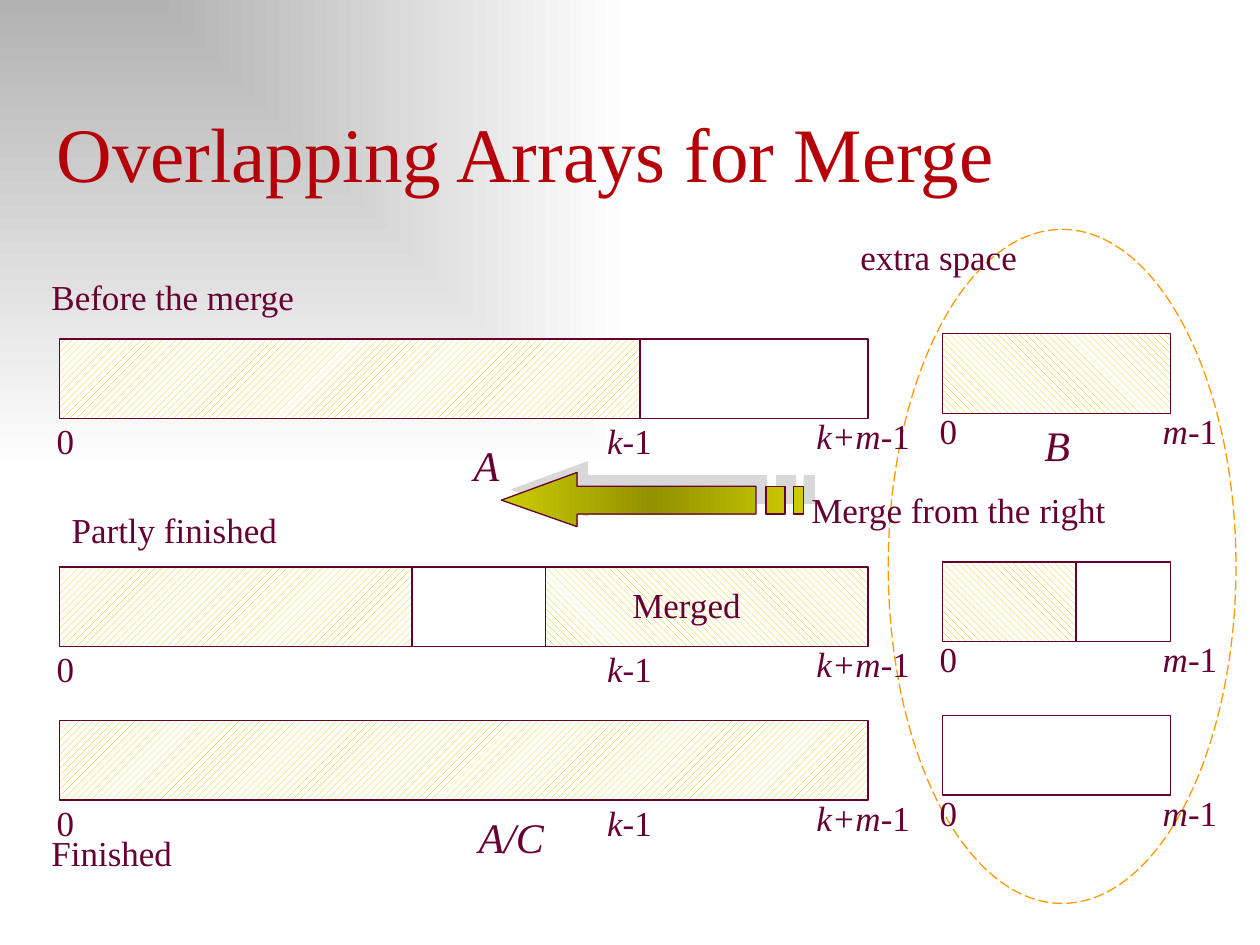
from dataclasses import dataclass

from pptx import Presentation
from pptx.dml.color import RGBColor
from pptx.enum.dml import MSO_LINE, MSO_PATTERN
from pptx.enum.shapes import MSO_SHAPE
from pptx.enum.text import MSO_ANCHOR
from pptx.oxml import parse_xml
from pptx.oxml.ns import nsdecls, qn
from pptx.util import Inches, Pt

FONT = "Times New Roman"
PLUM, OLIVE, WHITE, RED, ORANGE = "660033", "CCCC00", "FFFFFF", "B60009", "FF9900"
UP, DOWN = MSO_PATTERN.WIDE_UPWARD_DIAGONAL, MSO_PATTERN.WIDE_DOWNWARD_DIAGONAL
BAR_HEIGHT = 0.63
A_LEFT, A_WIDTH = 0.47, 6.42
B_LEFT, B_WIDTH, B_RISE = 7.48, 1.81, 0.04


@dataclass
class Bar:
    left: float
    top: float
    width: float
    pattern: object = None


@dataclass
class Label:
    left: float
    top: float
    width: float
    italic: str = ""
    plain: str = ""
    size: int = 20
    color: str = PLUM
    height: float = 0.43
    anchor: object = MSO_ANCHOR.TOP


def rgb(value: str) -> RGBColor:
    return RGBColor.from_string(value)


def gradient(stops: list, direction: str):
    """Build a gradient fill from (percent, colour) stops."""
    marks = "".join(
        f'<a:gs pos="{place * 1000}"><a:srgbClr val="{color}"/></a:gs>'
        for place, color in stops
    )
    return parse_xml(
        f'<a:gradFill {nsdecls("a")} rotWithShape="1"><a:gsLst>{marks}</a:gsLst>'
        f"{direction}</a:gradFill>"
    )


def outline(shape, color: str = PLUM) -> None:
    shape.line.color.rgb = rgb(color)
    shape.line.width = Pt(0.75)


def draw_bar(page, bar: Bar) -> None:
    shape = page.shapes.add_shape(
        MSO_SHAPE.RECTANGLE, Inches(bar.left), Inches(bar.top),
        Inches(bar.width), Inches(BAR_HEIGHT),
    )
    shape.shadow.inherit = False
    if bar.pattern is None:
        shape.fill.solid()
        shape.fill.fore_color.rgb = rgb(WHITE)
    else:
        shape.fill.patterned()
        shape.fill.pattern = bar.pattern
        shape.fill.fore_color.rgb = rgb(OLIVE)
        shape.fill.back_color.rgb = rgb(WHITE)
    outline(shape)


def draw_label(page, label: Label) -> None:
    box = page.shapes.add_textbox(
        Inches(label.left), Inches(label.top), Inches(label.width), Inches(label.height)
    )
    box.text_frame.word_wrap = True
    box.text_frame.vertical_anchor = label.anchor
    para = box.text_frame.paragraphs[0]
    if label.anchor == MSO_ANCHOR.TOP:
        para._p.get_or_add_pPr().append(parse_xml(
            f'<a:spcBef {nsdecls("a")}><a:spcPct val="50000"/></a:spcBef>'
        ))
    for text, italic in ((label.italic, True), (label.plain, False)):
        if text:
            span = para.add_run()
            span.text = text
            for name, value in {"name": FONT, "size": Pt(label.size), "italic": italic}.items():
                setattr(span.font, name, value)
            span.font.color.rgb = rgb(label.color)


def draw_merge_arrow(page) -> None:
    top, bottom = 3.86, 4.08
    head = [(4.58, 3.75), (4.58, top), (6, top), (6, bottom),
            (4.58, bottom), (4.58, 4.18), (3.98, 3.97)]
    tail = [[(left, top), (right, top), (right, bottom), (left, bottom)]
            for left, right in ((6.08, 6.23), (6.3, 6.38))]
    builder = page.shapes.build_freeform(Inches(head[0][0]), Inches(head[0][1]))
    for number, points in enumerate([head, *tail]):
        corners = [(Inches(x), Inches(y)) for x, y in points]
        if number:
            builder.move_to(*corners[0])
        builder.add_line_segments(corners[1:], close=True)
    arrow = builder.convert_to_shape()
    arrow.fill.background()
    outline(arrow)
    properties = arrow._element.spPr
    properties.replace(
        properties.find(qn("a:noFill")),
        gradient([(0, OLIVE), (50, "929200"), (100, OLIVE)], '<a:lin ang="0" scaled="1"/>'),
    )
    properties.append(parse_xml(
        f'<a:effectLst {nsdecls("a")}><a:outerShdw dist="{Pt(8.5)}" dir="18900000" '
        'algn="ctr" rotWithShape="0"><a:srgbClr val="B2B2B2"><a:alpha val="50000"/>'
        "</a:srgbClr></a:outerShdw></a:effectLst>"
    ))


def draw_extra_space(page) -> None:
    ring = page.shapes.add_shape(
        MSO_SHAPE.OVAL, Inches(7.05), Inches(1.82), Inches(2.76), Inches(5.35)
    )
    ring.shadow.inherit = False
    ring.fill.background()
    outline(ring, ORANGE)
    ring.line.dash_style = MSO_LINE.LONG_DASH


deck = Presentation()
deck.slide_width, deck.slide_height = Inches(10), Inches(7.5)
page = deck.slides.add_slide(deck.slide_layouts[6])

# Background shading from the top left corner
page.background.fill.solid()
backdrop = page._element.find(".//" + qn("p:bgPr"))
backdrop.replace(
    backdrop.find(qn("a:solidFill")),
    gradient([(0, "B2B2B2"), (100, WHITE)],
             '<a:path path="rect"><a:fillToRect r="100000" b="100000"/></a:path>'),
)

# Three stages: array A on the left, array B on the right
BEFORE, PARTLY, FINISHED = 2.69, 4.5, 5.72
bars = [
    Bar(A_LEFT, BEFORE, 4.61, UP),
    Bar(5.08, BEFORE, B_WIDTH),
    Bar(B_LEFT, BEFORE - B_RISE, B_WIDTH, DOWN),
    Bar(A_LEFT, PARTLY, 3.74, UP),
    Bar(4.33, PARTLY, 2.56, DOWN),
    Bar(3.27, PARTLY, 1.06),
    Bar(B_LEFT, PARTLY - B_RISE, B_WIDTH),
    Bar(B_LEFT, PARTLY - B_RISE, 1.06, DOWN),
    Bar(A_LEFT, FINISHED, A_WIDTH, UP),
    Bar(B_LEFT, FINISHED - B_RISE, B_WIDTH),
]
for bar in bars:
    draw_bar(page, bar)
draw_merge_arrow(page)
draw_extra_space(page)

# Title, captions and array names
labels = [
    Label(0.35, 0.79, 9.45, plain="Overlapping Arrays for Merge", size=44, color=RED,
          height=0.83, anchor=MSO_ANCHOR.BOTTOM),
    Label(0.31, 2.14, 2.36, plain="Before the merge"),
    Label(0.47, 3.99, 2.05, plain="Partly finished"),
    Label(0.31, 6.55, 2.2, plain="Finished"),
    Label(4.92, 4.58, 1.46, plain="Merged"),
    Label(6.34, 3.83, 3.15, plain="Merge from the right"),
    Label(6.73, 1.82, 1.53, plain="extra space"),
    Label(3.66, 3.44, 0.95, italic="A", size=24, height=0.5),
    Label(8.19, 3.28, 0.95, italic="B", size=24, height=0.5),
    Label(3.7, 6.39, 0.95, italic="A/C", size=24, height=0.5),
]

# Index marks under every stage
for stage in (BEFORE, PARTLY, FINISHED):
    labels += [
        Label(0.35, stage + 0.59, 0.59, plain="0"),
        Label(4.72, stage + 0.59, 0.79, italic="k", plain="-1"),
        Label(6.38, stage + 0.55, 1.02, italic="k+m", plain="-1"),
        Label(7.36, stage + 0.51, 0.59, plain="0"),
        Label(9.13, stage + 0.51, 0.87, italic="m", plain="-1"),
    ]
for label in labels:
    draw_label(page, label)

deck.save("out.pptx")
